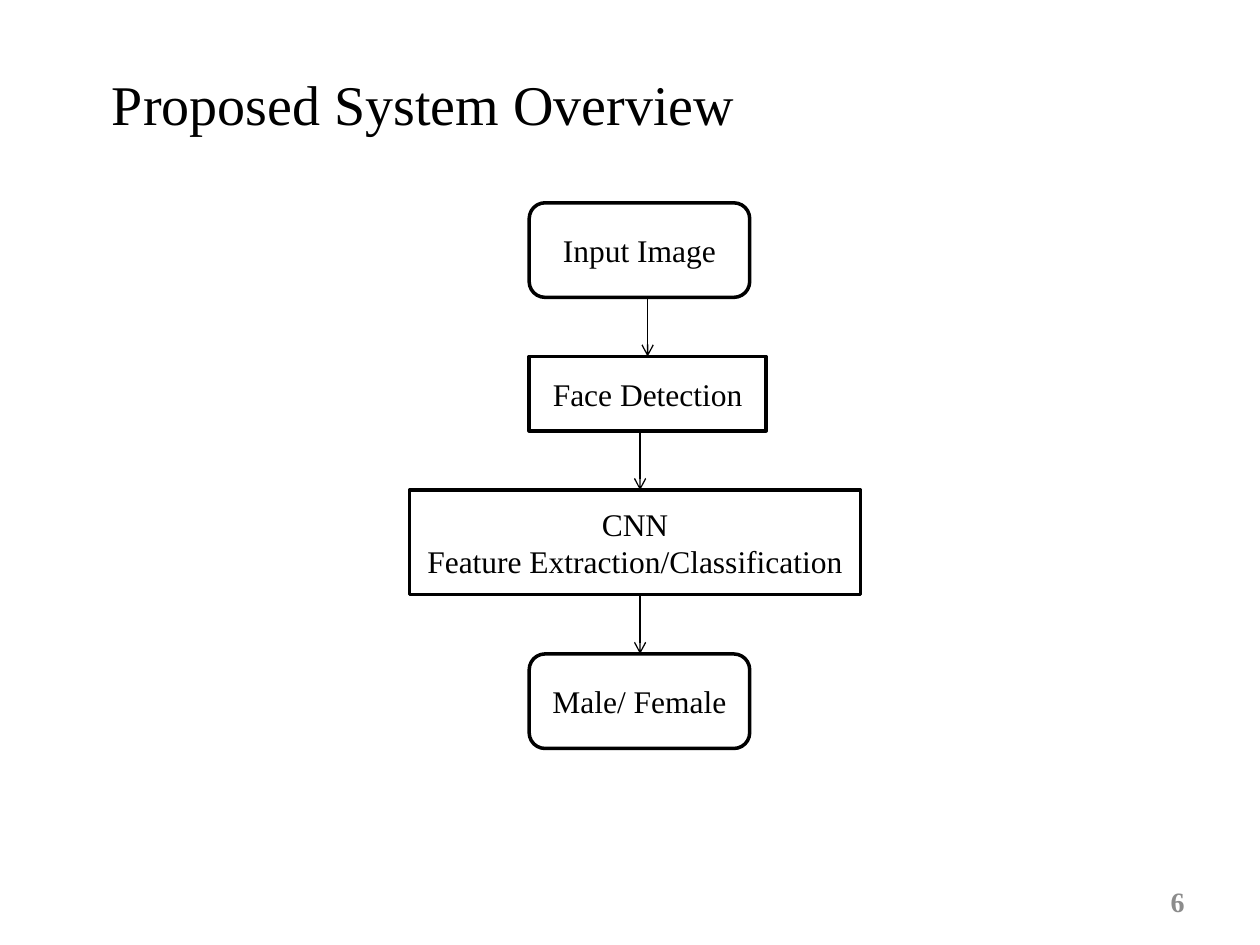
from lxml import etree
from pptx import Presentation
from pptx.dml.color import RGBColor
from pptx.enum.shapes import MSO_CONNECTOR, MSO_SHAPE
from pptx.enum.text import MSO_ANCHOR, PP_ALIGN
from pptx.oxml.ns import qn
from pptx.util import Inches, Pt

COLORS = {"ink": "000000", "paper": "FFFFFF", "muted": "8C8C8C"}
FONT = "Times New Roman"
GAP = 0.47


def color(name):
    """Return the named palette colour."""
    return RGBColor.from_string(COLORS[name])


def write(shape, lines, size, align, anchor, ink="ink", bold=False):
    """Fill a shape with one styled paragraph per line."""
    frame = shape.text_frame
    frame.word_wrap = True
    frame.vertical_anchor = anchor
    frame.text = "\n".join(lines)
    for paragraph in frame.paragraphs:
        paragraph.alignment = align
        font = paragraph.runs[0].font
        font.name, font.size, font.bold = FONT, Pt(size), bold
        font.color.rgb = color(ink)


def add_text(slide, box, text, size, align, anchor, **style):
    """Add a text box."""
    shape = slide.shapes.add_textbox(*map(Inches, box))
    write(shape, [text], size, align, anchor, **style)


def add_step(slide, kind, box, lines):
    """Add one outlined flowchart step."""
    shape = slide.shapes.add_shape(kind, *map(Inches, box))
    shape.shadow.inherit = False
    shape.fill.solid()
    shape.fill.fore_color.rgb = color("paper")
    shape.line.color.rgb = color("ink")
    shape.line.width = Pt(2)
    write(shape, lines, 18, PP_ALIGN.CENTER, MSO_ANCHOR.MIDDLE)


def add_arrow(slide, x, top, bottom):
    """Add a downward arrow with an open head."""
    arrow = slide.shapes.add_connector(
        MSO_CONNECTOR.STRAIGHT, Inches(x), Inches(top), Inches(x), Inches(bottom))
    arrow.line.color.rgb = color("ink")
    arrow.line.width = Pt(0.75)
    etree.SubElement(arrow.line._get_or_add_ln(), qn("a:tailEnd"), type="arrow")
    etree.SubElement(arrow._element.spPr, qn("a:effectLst"))


def add_flow(slide):
    """Stack the steps with equal gaps and an arrow in each gap."""
    rounded, plain = MSO_SHAPE.ROUNDED_RECTANGLE, MSO_SHAPE.RECTANGLE
    steps = [
        (rounded, 4.2, 1.75, 0.75, ["Input Image"]),
        (plain, 4.2, 1.88, 0.59, ["Face Detection"]),
        (plain, 3.25, 3.58, 0.83, ["CNN", "Feature Extraction/Classification"]),
        (rounded, 4.2, 1.75, 0.75, ["Male/ Female"]),
    ]
    arrow_xs = [5.14, 5.08, 5.08]
    top = 1.61
    arrow_tops = []
    for kind, left, width, height, lines in steps:
        add_step(slide, kind, (left, top, width, height), lines)
        arrow_tops.append(top + height)
        top += height + GAP
    for x, start in zip(arrow_xs, arrow_tops):
        add_arrow(slide, x, start, start + GAP)


def main():
    """Build and save the slide."""
    deck = Presentation()
    deck.slide_width, deck.slide_height = Inches(10), Inches(7.5)
    slide = deck.slides.add_slide(deck.slide_layouts[6])
    add_text(slide, (0.79, 0.5, 6, 0.64), "Proposed System Overview", 32,
             PP_ALIGN.LEFT, MSO_ANCHOR.TOP)
    add_flow(slide)
    add_text(slide, (7.17, 6.95, 2.33, 0.4), "6", 16,
             PP_ALIGN.RIGHT, MSO_ANCHOR.MIDDLE, ink="muted", bold=True)
    deck.save("out.pptx")


main()
